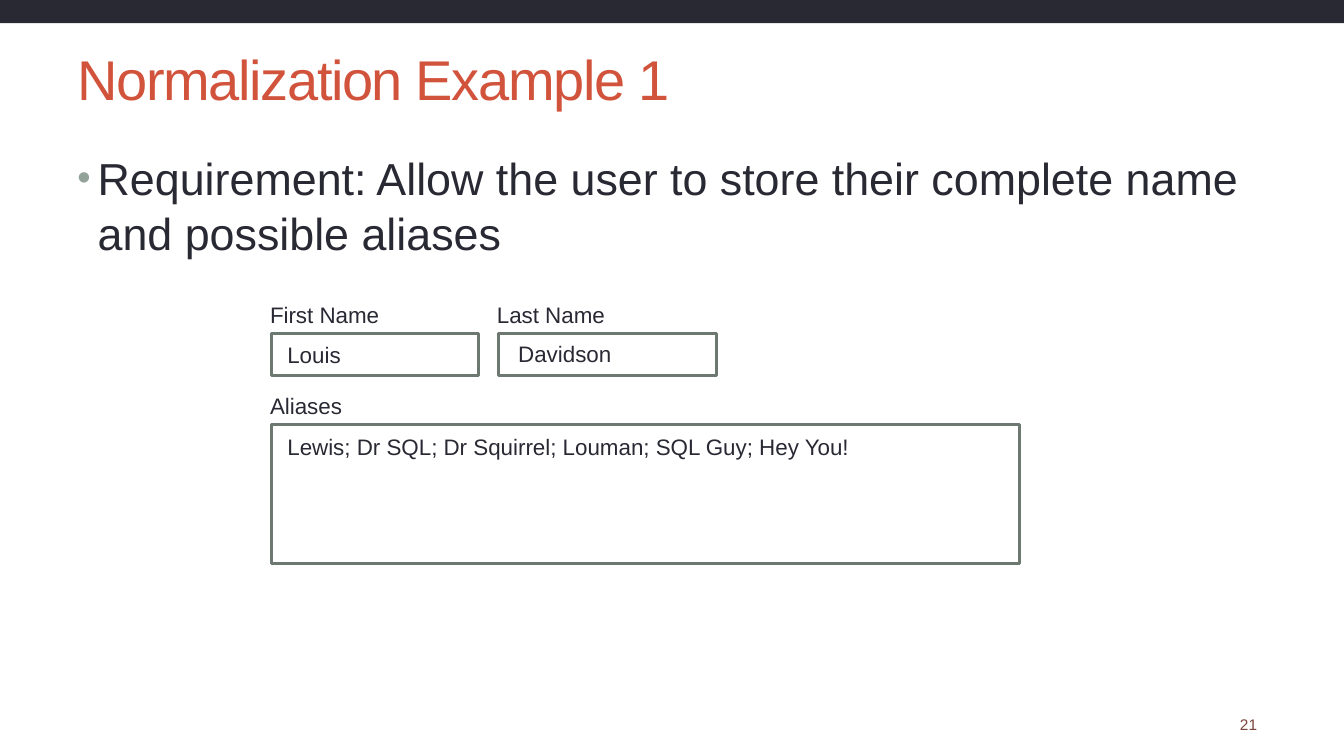
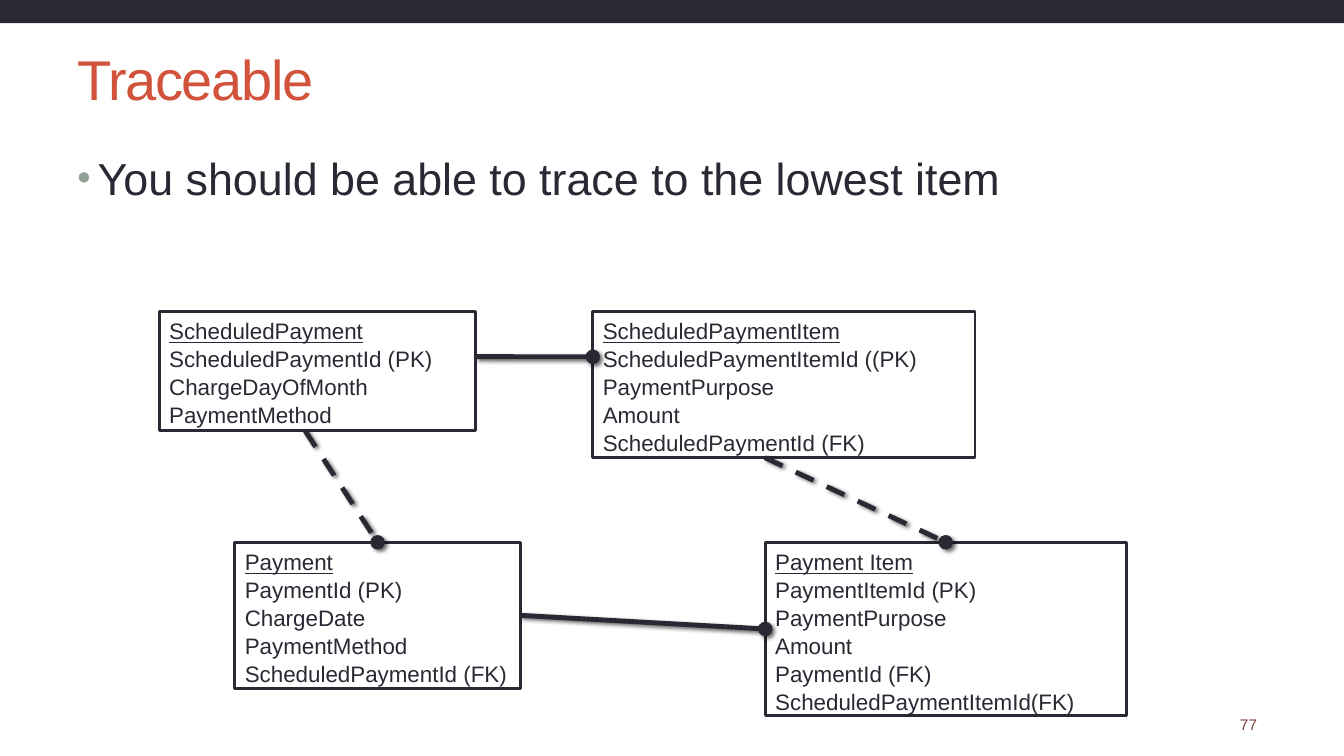
from lxml import etree
from pptx import Presentation
from pptx import util as u
from pptx.dml import color as dml_color
from pptx.enum import dml, shapes, text
from pptx.oxml import ns

# Shared look
FONT = "Arial"
INK, ACCENT, PAPER = "292934", "D2533C", "FFFFFF"
FIELD_LINE, BULLET, NUMBER = "6D7871", "93A299", "79463D"
LINE_PITCH = 1.04
BOX_LINE = 2.08


def rgb(hex_colour):
    return dml_color.RGBColor.from_string(hex_colour)


def inches(*lengths):
    return [u.Inches(length) for length in lengths]


def add_xml(parent, tag, **attributes):
    element = etree.SubElement(parent, ns.qn(tag))
    for key, value in attributes.items():
        element.set(key, str(value))
    return element


def style(paragraph, size, colour=INK):
    paragraph.alignment = text.PP_ALIGN.LEFT
    font = paragraph.font
    font.name, font.size = FONT, u.Pt(size)
    font.color.rgb = rgb(colour)


def add_text(slide, box, words, size, colour=INK):
    frame = slide.shapes.add_textbox(*inches(*box)).text_frame
    frame.word_wrap = True
    paragraph = frame.paragraphs[0]
    paragraph.text = words
    style(paragraph, size, colour)
    return paragraph


def add_box(slide, box, fill, line=None):
    rect = slide.shapes.add_shape(shapes.MSO_SHAPE.RECTANGLE, *inches(*box))
    rect.shadow.inherit = False
    rect.fill.solid()
    rect.fill.fore_color.rgb = rgb(fill)
    if line:
        rect.line.color.rgb = rgb(line)
        rect.line.width = u.Pt(BOX_LINE)
    else:
        rect.line.fill.background()
    frame = rect.text_frame
    frame.word_wrap = True
    frame.vertical_anchor = text.MSO_ANCHOR.TOP
    return rect


def start_slide(prs, title, number, requirement):
    """Band, title, page number and the bulleted statement."""
    slide = prs.slides.add_slide(prs.slide_layouts[5])
    add_box(slide, (0, 0, 13.33, 0.23), INK)
    add_text(slide, (12.2, 7.04, 0.94, 0.29), number, 11, NUMBER)

    # Title
    heading = slide.shapes.title
    heading.left, heading.top, heading.width, heading.height = inches(
        0.67, 0.3, 11.89, 0.95)
    frame = heading.text_frame
    frame.vertical_anchor = text.MSO_ANCHOR.MIDDLE
    frame.text = title
    style(frame.paragraphs[0], 40, ACCENT)
    frame.paragraphs[0].runs[0].font._element.set("spc", "-100")

    # Bulleted statement
    statement = add_text(slide, (0.67, 1.42, 12, 1.2), requirement, 32)
    statement.line_spacing = LINE_PITCH
    props = statement._p.get_or_add_pPr()
    props.set("marL", str(u.Inches(0.2)))
    props.set("indent", str(-u.Inches(0.2)))
    bullet_colour = etree.Element(ns.qn("a:buClr"))
    add_xml(bullet_colour, "a:srgbClr", val=BULLET)
    bullet_parts = [bullet_colour]
    for tag, key, value in (("a:buSzPct", "val", "85000"),
                            ("a:buFont", "typeface", FONT),
                            ("a:buChar", "char", "•")):
        part = etree.Element(ns.qn(tag))
        part.set(key, value)
        bullet_parts.append(part)
    following = props.find(ns.qn("a:defRPr"))
    for part in bullet_parts:
        following.addprevious(part)
    return slide


def add_field(slide, box, label, value, inset):
    """Form field: label above an outlined box that holds its value."""
    left, top, _, _ = box
    add_text(slide, (left - 0.11, top - 0.37, 2, 0.37), label, 16)
    frame = add_box(slide, box, PAPER, FIELD_LINE).text_frame
    frame.margin_left, frame.margin_top = inches(*inset)
    frame.text = value
    style(frame.paragraphs[0], 16)


def add_entity(slide, box, name, columns):
    """Entity: underlined name followed by its columns."""
    frame = add_box(slide, box, PAPER, INK).text_frame
    frame.text = "\n".join([name, *columns])
    for paragraph in frame.paragraphs:
        style(paragraph, 16)
        paragraph.line_spacing = LINE_PITCH
    frame.paragraphs[0].font.underline = True


def point_on(box, across, down):
    left, top, width, height = box
    return inches(left + across * width, top + down * height)


def add_relation(slide, start, end, dashed):
    """Line from parent to child, with a dot on the child's side."""
    relation = slide.shapes.add_connector(
        shapes.MSO_CONNECTOR.STRAIGHT, *start, *end)
    relation.line.color.rgb = rgb(INK)
    relation.line.width = u.Pt(3.5)
    if dashed:
        relation.line.dash_style = dml.MSO_LINE.DASH
    props = relation._element.spPr
    add_xml(props.find(ns.qn("a:ln")), "a:tailEnd", type="oval")
    shadow = add_xml(add_xml(props, "a:effectLst"), "a:outerShdw",
                     blurRad=u.Pt(3), dist=u.Pt(2), dir=45 * 60000,
                     rotWithShape=0)
    add_xml(add_xml(shadow, "a:srgbClr", val="000000"),
            "a:alpha", val=60000)


def build_form(prs):
    slide = start_slide(
        prs, "Normalization Example 1", "21",
        "Requirement: Allow the user to store their complete name "
        "and possible aliases")
    fields = [
        ((2.69, 3.31, 2.06, 0.42), "First Name", "Louis", (0.16, 0.07)),
        ((4.94, 3.31, 2.17, 0.42), "Last Name", "Davidson", (0.2, 0.06)),
        ((2.69, 4.21, 7.42, 1.38), "Aliases",
         "Lewis; Dr SQL; Dr Squirrel; Louman; SQL Guy; Hey You!",
         (0.16, 0.09)),
    ]
    for field in fields:
        add_field(slide, *field)


def build_trace(prs):
    slide = start_slide(prs, "Traceable", "77",
                        "You should be able to trace to the lowest item")
    # Left, top and width of each entity, then its columns
    entities = {
        "ScheduledPayment": (1.58, 3.09, 3.14, [
            "ScheduledPaymentId (PK)", "ChargeDayOfMonth", "PaymentMethod"]),
        "ScheduledPaymentItem": (5.88, 3.09, 3.79, [
            "ScheduledPaymentItemId ((PK)", "PaymentPurpose", "Amount",
            "ScheduledPaymentId (FK)"]),
        "Payment": (2.33, 5.38, 2.83, [
            "PaymentId (PK)", "ChargeDate", "PaymentMethod",
            "ScheduledPaymentId (FK)"]),
        "Payment Item": (7.59, 5.38, 3.58, [
            "PaymentItemId (PK)", "PaymentPurpose", "Amount",
            "PaymentId (FK)", "ScheduledPaymentItemId(FK)"]),
    }
    boxes = {}
    for name, (left, top, width, columns) in entities.items():
        height = 0.1 + 0.27 * (len(columns) + 1)
        boxes[name] = (left, top, width, height)
        add_entity(slide, boxes[name], name, columns)

    # Ends as entity and fractions across and down its box
    relations = [
        (("Payment", 1, 0.5), ("Payment Item", 0, 0.5), False),
        (("ScheduledPayment", 1, 0.38),
         ("ScheduledPaymentItem", 0, 0.31), False),
        (("ScheduledPayment", 0.46, 1), ("Payment", 0.5, 0), True),
        (("ScheduledPaymentItem", 0.45, 1), ("Payment Item", 0.5, 0), True),
    ]
    for (parent, *start), (child, *end), dashed in relations:
        add_relation(slide, point_on(boxes[parent], *start),
                     point_on(boxes[child], *end), dashed)


def main():
    prs = Presentation()
    prs.slide_width, prs.slide_height = inches(13.33, 7.5)
    build_form(prs)
    build_trace(prs)
    prs.save("out.pptx")


if __name__ == "__main__":
    main()
